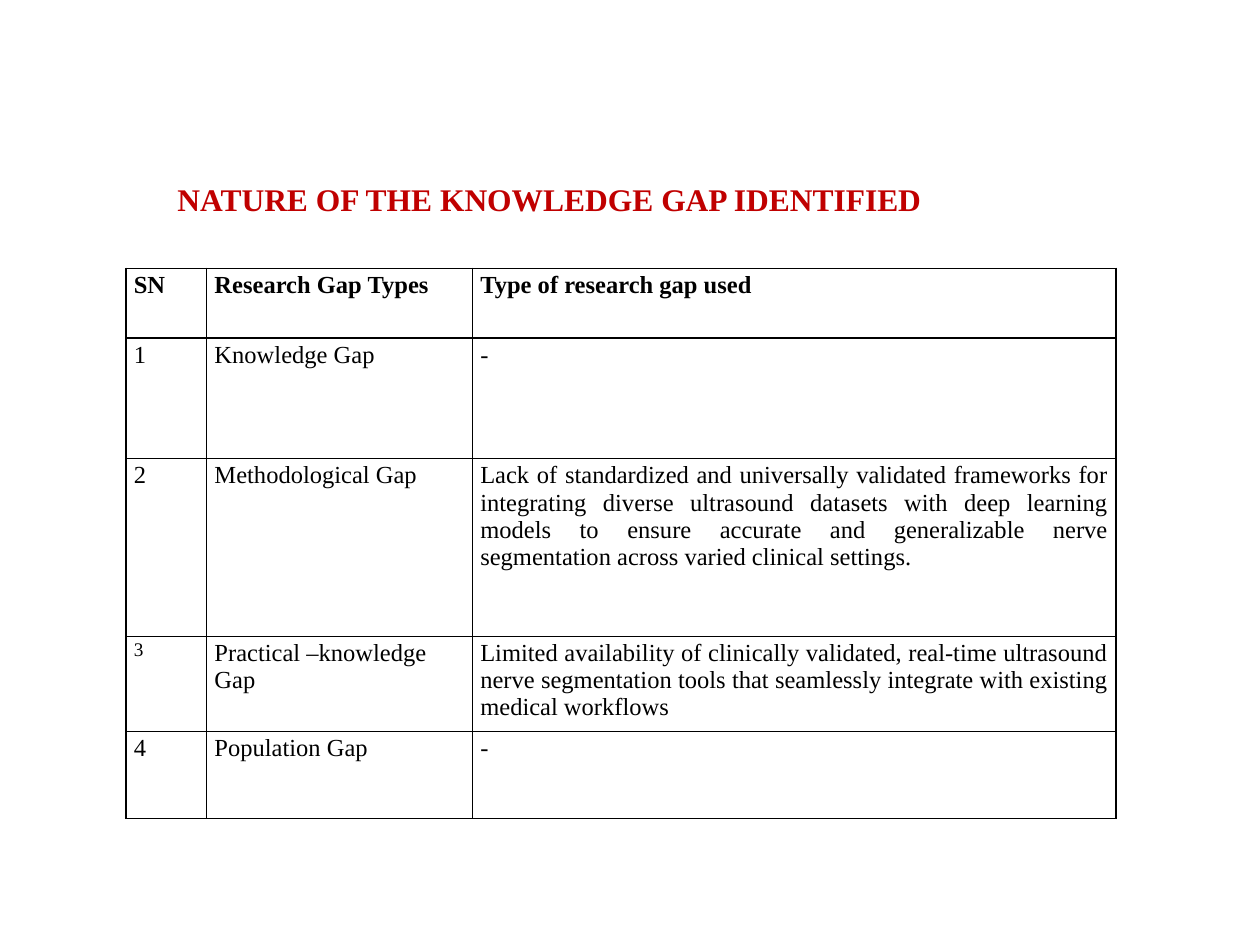
from lxml.etree import SubElement
from pptx import Presentation
from pptx.dml.color import RGBColor
from pptx.enum.text import MSO_ANCHOR, PP_ALIGN
from pptx.oxml.ns import qn
from pptx.util import Pt

COLORS = {"title": "C00000", "ink": "000000", "paper": "FFFFFF"}
FONT_NAME = "Times New Roman"
COLUMN_WIDTHS = [46.1, 151.9, 367.9]
ROW_HEIGHTS = [39.6, 69.1, 101.5, 52.6, 49.7]
GAP_ROWS = [
    ["SN", "Research Gap Types", "Type of research gap used"],
    ["1", "Knowledge Gap", "-"],
    ["2", "Methodological Gap",
     "Lack of standardized and universally validated frameworks for integrating "
     "diverse ultrasound datasets with deep learning models to ensure accurate and "
     "generalizable nerve segmentation across varied clinical settings."],
    ["3", "Practical –knowledge Gap",
     "Limited availability of clinically validated, real-time ultrasound nerve "
     "segmentation tools that seamlessly integrate with existing medical workflows"],
    ["4", "Population Gap", "-"],
]


def style_font(paragraph, size, color, bold):
    """Set the font of a whole paragraph."""
    font = paragraph.font
    font.name, font.size, font.bold = FONT_NAME, Pt(size), bold
    font.color.rgb = RGBColor.from_string(COLORS[color])


def add_title(slide, left, top, width, height):
    """Add the slide heading in the given box."""
    shape = slide.shapes.add_textbox(Pt(left), Pt(top), Pt(width), Pt(height))
    frame = shape.text_frame
    frame.word_wrap = True
    frame.vertical_anchor = MSO_ANCHOR.MIDDLE
    paragraph = frame.paragraphs[0]
    paragraph.text = "NATURE OF THE KNOWLEDGE GAP IDENTIFIED"
    paragraph.line_spacing = 0.9
    style_font(paragraph, 18, "title", True)


def add_borders(cell):
    """Draw a thin line on all four sides of a cell."""
    properties = cell._tc.get_or_add_tcPr()
    for side in ("a:lnL", "a:lnR", "a:lnT", "a:lnB"):
        line = SubElement(properties, qn(side), w=str(Pt(1)))
        fill = SubElement(line, qn("a:solidFill"))
        SubElement(fill, qn("a:srgbClr"), val=COLORS["ink"])


def fill_cell(cell, text, size, bold, justified):
    """Write and format one table cell."""
    cell.margin_left = cell.margin_right = Pt(4.5)
    cell.margin_top = cell.margin_bottom = Pt(2)
    add_borders(cell)
    cell.fill.solid()
    cell.fill.fore_color.rgb = RGBColor.from_string(COLORS["paper"])
    paragraph = cell.text_frame.paragraphs[0]
    paragraph.text = text
    paragraph.alignment = PP_ALIGN.JUSTIFY if justified else PP_ALIGN.LEFT
    style_font(paragraph, size, "ink", bold)


def add_gap_table(slide, left, top):
    """Add the table of research gaps at the given corner."""
    table = slide.shapes.add_table(
        len(ROW_HEIGHTS), len(COLUMN_WIDTHS), Pt(left), Pt(top),
        Pt(sum(COLUMN_WIDTHS)), Pt(sum(ROW_HEIGHTS))).table
    for column, width in zip(table.columns, COLUMN_WIDTHS):
        column.width = Pt(width)
    for row_index, texts in enumerate(GAP_ROWS):
        table.rows[row_index].height = Pt(ROW_HEIGHTS[row_index])
        header = row_index == 0
        for column_index, text in enumerate(texts):
            fill_cell(table.cell(row_index, column_index), text,
                      size=11 if text == "3" else 14, bold=header,
                      justified=column_index == 2 and not header)


def main():
    """Build and save the presentation."""
    presentation = Presentation()
    presentation.slide_width, presentation.slide_height = Pt(720), Pt(540)
    slide = presentation.slides.add_slide(presentation.slide_layouts[6])
    add_title(slide, 94.3, 99.4, 479.5, 31.7)
    add_gap_table(slide, 72, 153.4)
    presentation.save("out.pptx")


if __name__ == "__main__":
    main()
